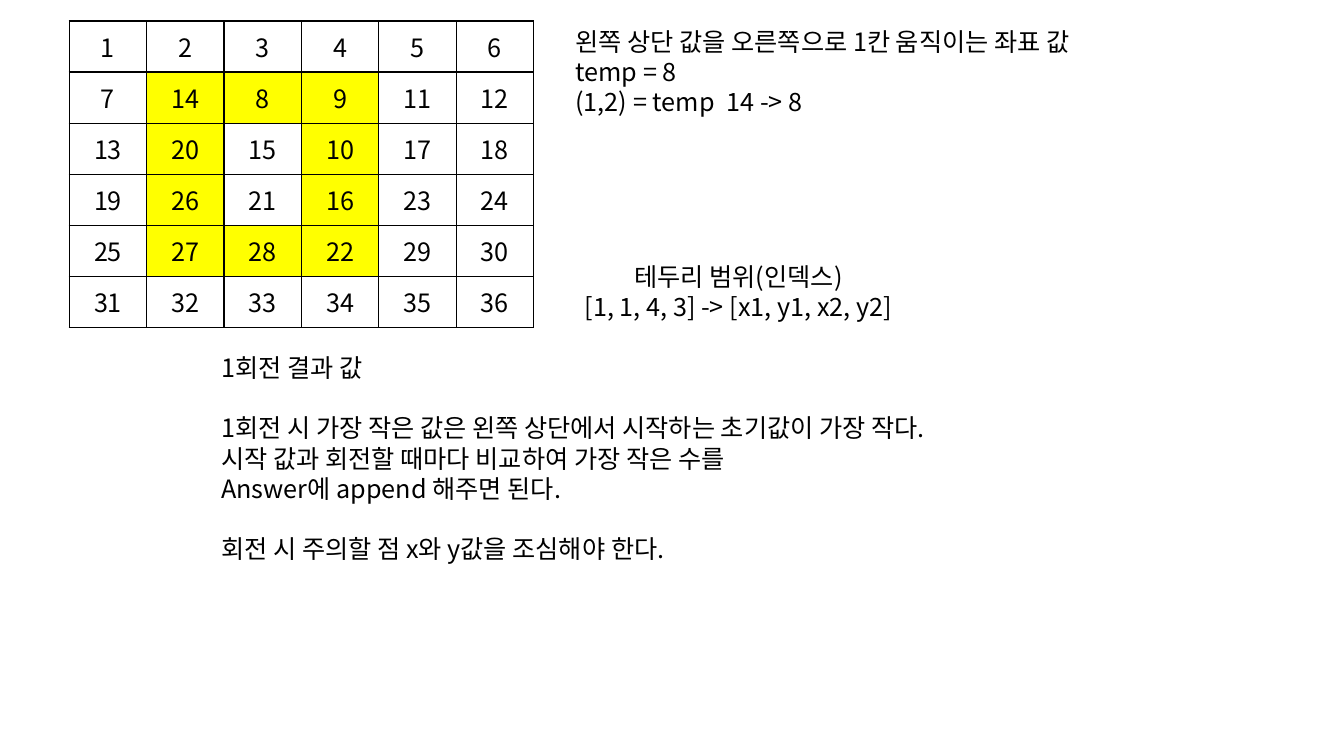
"""Build the slide that explains one rotation of a matrix border."""
from lxml import etree
from pptx import Presentation
from pptx.dml.color import RGBColor
from pptx.enum.text import MSO_ANCHOR, PP_ALIGN
from pptx.oxml.ns import qn
from pptx.util import Pt

BLACK = RGBColor(0, 0, 0)
YELLOW = RGBColor(255, 255, 0)
SIZE = 6
TOP, LEFT, BOTTOM, RIGHT = 1, 1, 4, 3


class SlideBuilder:
    font = "Noto Sans CJK KR"
    font_size = Pt(18)
    line_height = Pt(21.6)

    def __init__(self, slide):
        self.slide = slide

    def styled_run(self, paragraph, text, align):
        paragraph.alignment = align
        run = paragraph.add_run()
        run.text = text
        run.font.size = self.font_size
        run.font.name = self.font
        run.font.color.rgb = BLACK
        east_asian = etree.SubElement(run._r.get_or_add_rPr(), qn("a:ea"))
        east_asian.set("typeface", self.font)

    def text(self, box, blocks, align=PP_ALIGN.LEFT):
        frame = self.slide.shapes.add_textbox(*map(Pt, box)).text_frame
        frame.word_wrap = True
        paragraph = frame.paragraphs[0]
        for block_index, block in enumerate(blocks):
            for line_index, line in enumerate(block):
                if block_index or line_index:
                    paragraph = frame.add_paragraph()
                paragraph.line_spacing = self.line_height
                if block_index and not line_index:
                    paragraph.space_before = self.line_height
                self.styled_run(paragraph, line, align)

    def border(self, cell):
        properties = cell._tc.get_or_add_tcPr()
        for side in ("lnL", "lnR", "lnT", "lnB"):
            line = etree.SubElement(properties, qn(f"a:{side}"), w=str(Pt(1)))
            fill = etree.SubElement(line, qn("a:solidFill"))
            etree.SubElement(fill, qn("a:srgbClr"), val=str(BLACK))

    def matrix(self, box, values, highlighted):
        rows, columns = len(values), len(values[0])
        table = self.slide.shapes.add_table(rows, columns, *map(Pt, box)).table
        table.first_row = table.horz_banding = False
        for r, row in enumerate(values):
            for c, value in enumerate(row):
                cell = table.cell(r, c)
                cell.vertical_anchor = MSO_ANCHOR.MIDDLE
                self.styled_run(cell.text_frame.paragraphs[0], str(value), PP_ALIGN.CENTER)
                self.border(cell)
                if (r, c) in highlighted:
                    cell.fill.solid()
                    cell.fill.fore_color.rgb = YELLOW
                else:
                    cell.fill.background()


def clockwise_ring():
    return ([(TOP, c) for c in range(LEFT, RIGHT)]
            + [(r, RIGHT) for r in range(TOP, BOTTOM)]
            + [(BOTTOM, c) for c in range(RIGHT, LEFT, -1)]
            + [(r, LEFT) for r in range(BOTTOM, TOP, -1)])


def rotated_matrix(ring):
    values = [[r * SIZE + c + 1 for c in range(SIZE)] for r in range(SIZE)]
    ring_values = [values[r][c] for r, c in ring]
    for (r, c), value in zip(ring, ring_values[-1:] + ring_values[:-1]):
        values[r][c] = value
    return values


presentation = Presentation()
presentation.slide_width, presentation.slide_height = Pt(960), Pt(540)
builder = SlideBuilder(presentation.slides.add_slide(presentation.slide_layouts[6]))

ring = clockwise_ring()
builder.matrix((49.5, 15, 331.8, 219), rotated_matrix(ring), ring)
builder.text((404, 15, 535, 72.7), [[
    "왼쪽 상단 값을 오른쪽으로 1칸 움직이는 좌표 값",
    "temp = 8",
    "(1,2) = temp\t14 -> 8",
]])
builder.text((404, 183, 247, 51), [[
    "테두리 범위(인덱스)",
    "[1, 1, 4, 3] -> [x1, y1, x2, y2]",
]], PP_ALIGN.CENTER)
builder.text((151, 248, 584, 160), [
    ["1회전 결과 값"],
    ["1회전 시 가장 작은 값은 왼쪽 상단에서 시작하는 초기값이 가장 작다.",
     "시작 값과 회전할 때마다 비교하여 가장 작은 수를",
     "Answer에 append 해주면 된다."],
    ["회전 시 주의할 점 x와 y값을 조심해야 한다."],
])

presentation.save("out.pptx")
